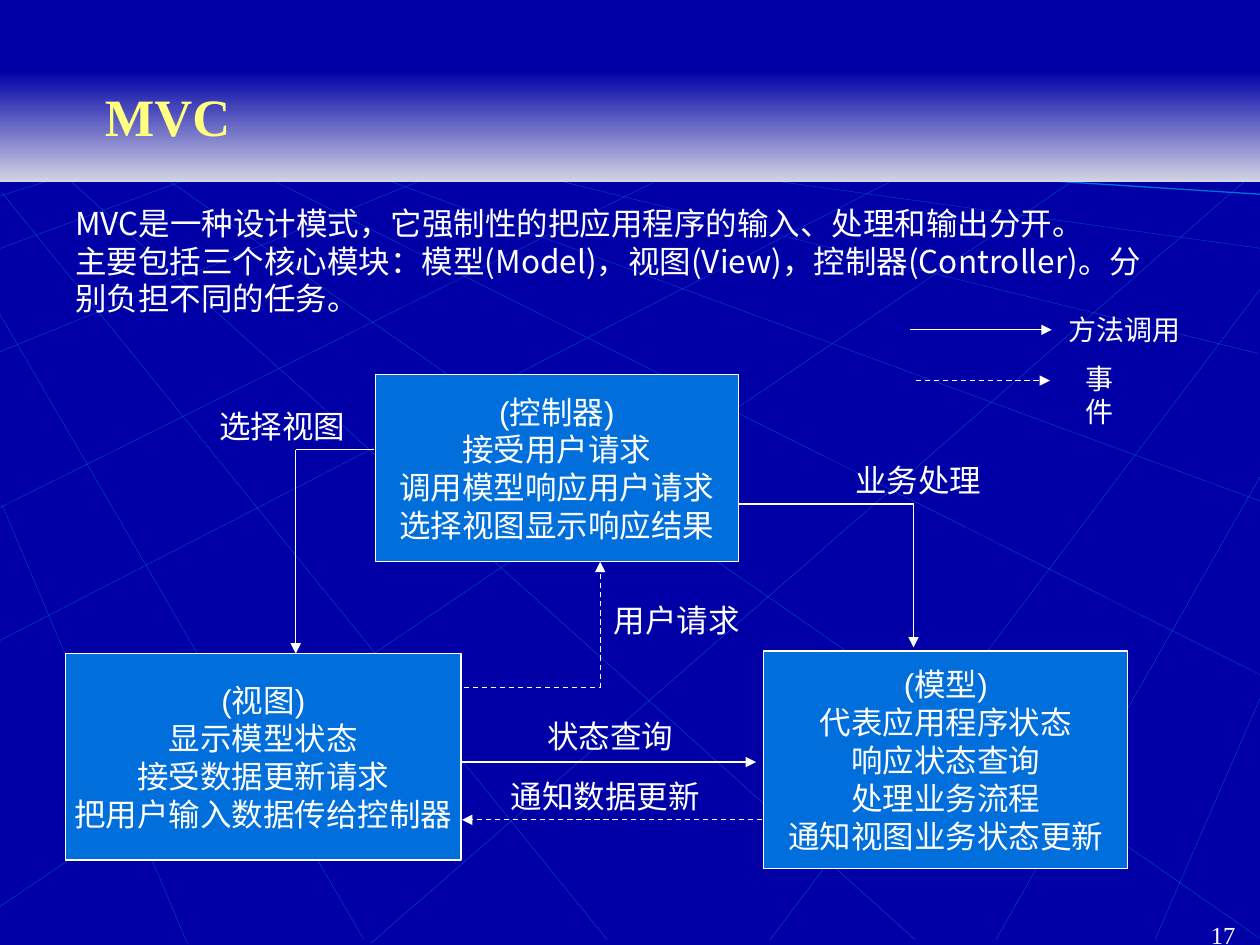
from dataclasses import dataclass

from lxml.etree import SubElement
from pptx import Presentation
from pptx.dml.color import RGBColor as Color
from pptx.enum.dml import MSO_LINE as Dash
from pptx.enum.shapes import MSO_CONNECTOR as Connector
from pptx.enum.shapes import MSO_SHAPE as Shape
from pptx.enum.text import MSO_ANCHOR as Anchor
from pptx.enum.text import PP_ALIGN as Align
from pptx.oxml.ns import qn
from pptx.util import Pt


@dataclass(frozen=True)
class Theme:
    background: str = "0000A6"
    band_end: str = "D3D4E4"
    accent: str = "006FDB"
    title: str = "FFFF80"
    ink: str = "FFFFFF"
    serif: str = "Times New Roman"
    sans: str = "Arial"
    chinese: str = "Noto Sans CJK SC"
    title_size: float = 30
    body_size: float = 18
    legend_size: float = 16
    number_size: float = 14
    rule: float = 0.75
    hairline: float = 0.11


@dataclass(frozen=True)
class Area:
    left: float
    top: float
    width: float
    height: float

    def lengths(self) -> tuple:
        return Pt(self.left), Pt(self.top), Pt(self.width), Pt(self.height)


@dataclass(frozen=True)
class Line:
    x1: float
    y1: float
    x2: float
    y2: float
    arrow: bool = False
    dashed: bool = False
    color: str = Theme.ink
    weight: float = Theme.rule


@dataclass(frozen=True)
class Caption:
    area: Area
    text: str
    size: float = Theme.body_size
    font: str = Theme.sans
    color: str = Theme.ink
    align: Align = Align.CENTER
    anchor: Anchor = Anchor.TOP
    bold: bool = False
    wrap: bool = False
    inset: tuple = (7.2, 3.6)


@dataclass(frozen=True)
class Module:
    area: Area
    text: str


THEME = Theme()

# Background web: x1, y1, x2, y2
WEB = [
    (142, 96, 721, 386), (32, 96, 523, 537), (286, 95, 719, 202),
    (-1, 178, 208, 537), (1, 288, 107, 539), (86, 96, 724, 539),
    (1, 110, 347, 537), (208, 98, 722, 287), (389, 96, 721, 142),
    (258, 96, 0, 201), (127, 95, 0, 142), (51, 96, 0, 112),
    (392, 95, 0, 290), (524, 96, 0, 366), (624, 96, 0, 518),
    (721, 95, 212, 539), (721, 164, 440, 537), (722, 269, 569, 537),
    (724, 390, 660, 537),
]

MODULES = [
    Module(Area(214.5, 214, 207.5, 107),
           "(控制器)\n接受用户请求\n调用模型响应用户请求\n选择视图显示响应结果"),
    Module(Area(37.5, 373.5, 226, 118),
           "(视图)\n显示模型状态\n接受数据更新请求\n把用户输入数据传给控制器"),
    Module(Area(436.5, 372, 208, 124.5),
           "(模型)\n代表应用程序状态\n响应状态查询\n处理业务流程\n通知视图业务状态更新"),
]

FLOWS = [
    # Legend
    Line(520, 188.5, 601, 188.5, arrow=True),
    Line(523.5, 217.5, 600, 217.5, arrow=True, dashed=True),
    # Controller to view
    Line(214, 257, 169, 257),
    Line(169, 257, 169, 373.5, arrow=True),
    # View and model
    Line(264, 435.5, 432, 435.5, arrow=True),
    Line(435.5, 468.5, 264, 468.5, arrow=True, dashed=True),
    # View to controller
    Line(265, 393, 343, 393, dashed=True),
    Line(343, 393, 343, 321, arrow=True, dashed=True),
    # Controller to model
    Line(422, 288, 522, 288),
    Line(522, 288, 522, 370, arrow=True),
]

CAPTIONS = [
    Caption(Area(54, 31, 612, 70), "MVC", THEME.title_size, THEME.serif,
            THEME.title, Align.LEFT, Anchor.MIDDLE, bold=True, wrap=True,
            inset=(6, 3)),
    Caption(Area(36, 113, 641, 72),
            "MVC是一种设计模式，它强制性的把应用程序的输入、处理和输出分开。\n"
            "主要包括三个核心模块：模型(Model)，视图(View)，控制器(Controller)。"
            "分别负担不同的任务。",
            font=THEME.chinese, align=Align.LEFT, wrap=True),
    Caption(Area(603.5, 175, 78, 26.5), "方法调用", THEME.legend_size),
    Caption(Area(605.5, 203, 46, 26.5), "事件", THEME.legend_size),
    Caption(Area(118, 229, 86.5, 29), "选择视图"),
    Caption(Area(481.5, 260, 86.5, 29), "业务处理"),
    Caption(Area(343.5, 340, 86.5, 29), "用户请求"),
    Caption(Area(305.5, 406, 86.5, 29), "状态查询"),
    Caption(Area(284.5, 440.5, 122.5, 29), "通知数据更新"),
    Caption(Area(564.5, 522.5, 147.5, 26.5), "17", THEME.number_size,
            THEME.serif, align=Align.RIGHT, wrap=True, inset=(6, 3)),
]


def draw_line(page, line: Line) -> None:
    connector = page.shapes.add_connector(
        Connector.STRAIGHT, Pt(line.x1), Pt(line.y1), Pt(line.x2), Pt(line.y2))
    connector.line.color.rgb = Color.from_string(line.color)
    connector.line.width = Pt(line.weight)
    if line.dashed:
        connector.line.dash_style = Dash.DASH
    if line.arrow:
        SubElement(connector.line._get_or_add_ln(), qn("a:tailEnd"), type="triangle")
    SubElement(connector._element.spPr, qn("a:effectLst"))


def write_text(shape, caption: Caption) -> None:
    frame = shape.text_frame
    frame.word_wrap = caption.wrap
    frame.vertical_anchor = caption.anchor
    frame.margin_left = frame.margin_right = Pt(caption.inset[0])
    frame.margin_top = frame.margin_bottom = Pt(caption.inset[1])
    frame.text = caption.text
    for para in frame.paragraphs:
        para.alignment = caption.align
        for span in para.runs:
            span.font.name = caption.font
            span.font.size = Pt(caption.size)
            span.font.bold = caption.bold
            span.font.color.rgb = Color.from_string(caption.color)
            SubElement(span.font._element, qn("a:ea"), typeface=THEME.chinese)


def draw_caption(page, caption: Caption) -> None:
    write_text(page.shapes.add_textbox(*caption.area.lengths()), caption)


def draw_module(page, module: Module) -> None:
    box = page.shapes.add_shape(Shape.RECTANGLE, *module.area.lengths())
    box.shadow.inherit = False
    box.fill.solid()
    box.fill.fore_color.rgb = Color.from_string(THEME.accent)
    box.line.color.rgb = Color.from_string(THEME.ink)
    box.line.width = Pt(THEME.rule)
    write_text(box, Caption(module.area, module.text, anchor=Anchor.MIDDLE))


def draw_band(page, area: Area) -> None:
    band = page.shapes.add_shape(Shape.RECTANGLE, *area.lengths())
    band.shadow.inherit = False
    band.line.fill.background()
    band.fill.gradient()
    band.fill.gradient_angle = 270
    for stop, color in zip(band.fill.gradient_stops, (THEME.background, THEME.band_end)):
        stop.color.rgb = Color.from_string(color)


def main() -> None:
    deck = Presentation()
    deck.slide_width, deck.slide_height = Pt(720), Pt(540)
    page = deck.slides.add_slide(deck.slide_layouts[6])

    # Backdrop
    page.background.fill.solid()
    page.background.fill.fore_color.rgb = Color.from_string(THEME.background)
    for ends in WEB:
        draw_line(page, Line(*ends, color=THEME.accent, weight=THEME.hairline))
    draw_line(page, Line(484, 96, 720, 111, color=THEME.accent))
    draw_band(page, Area(0, 40.5, 720, 63.5))

    # Diagram and text
    for module in MODULES:
        draw_module(page, module)
    for flow in FLOWS:
        draw_line(page, flow)
    for caption in CAPTIONS:
        draw_caption(page, caption)

    deck.save("out.pptx")


if __name__ == "__main__":
    main()
